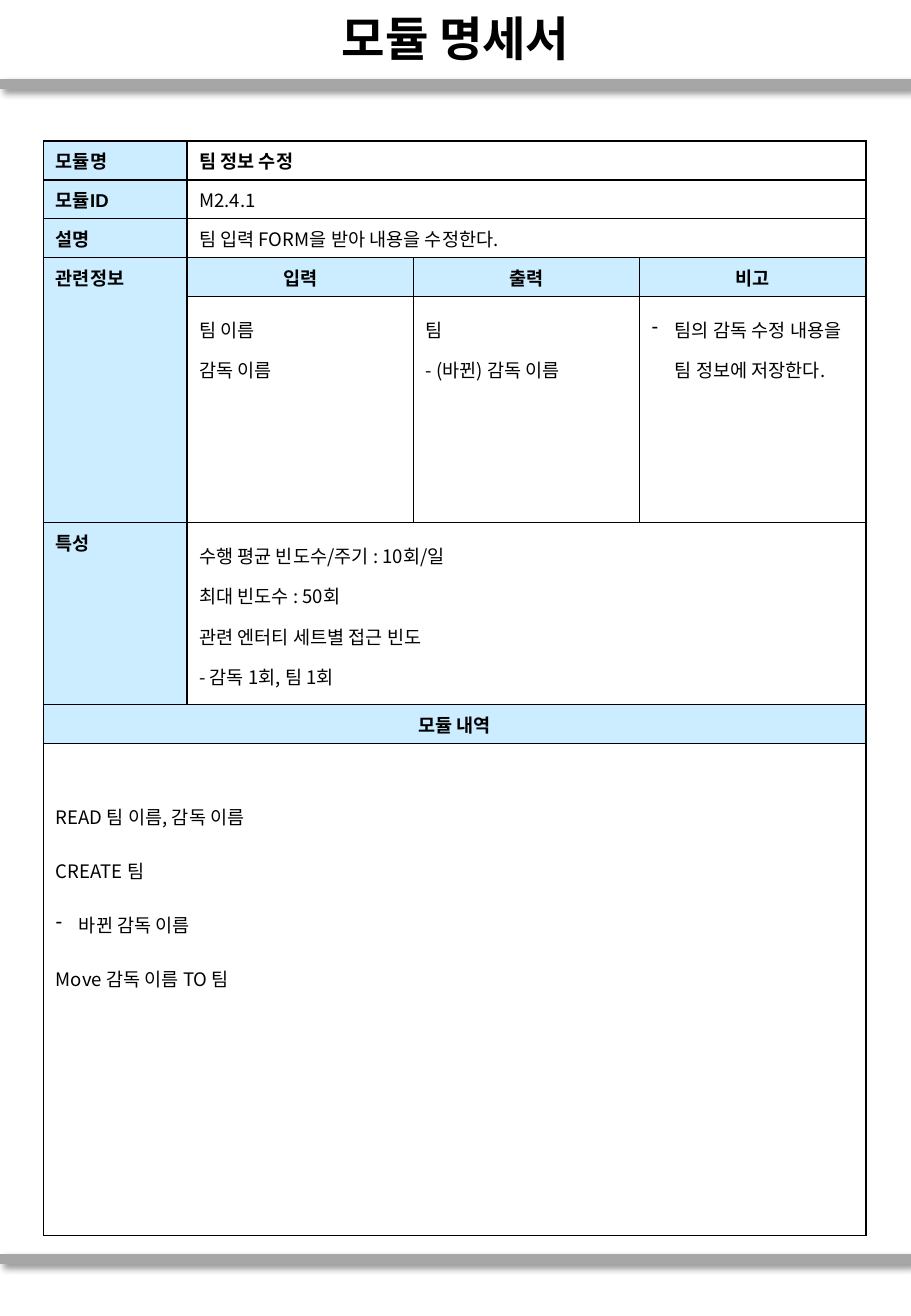
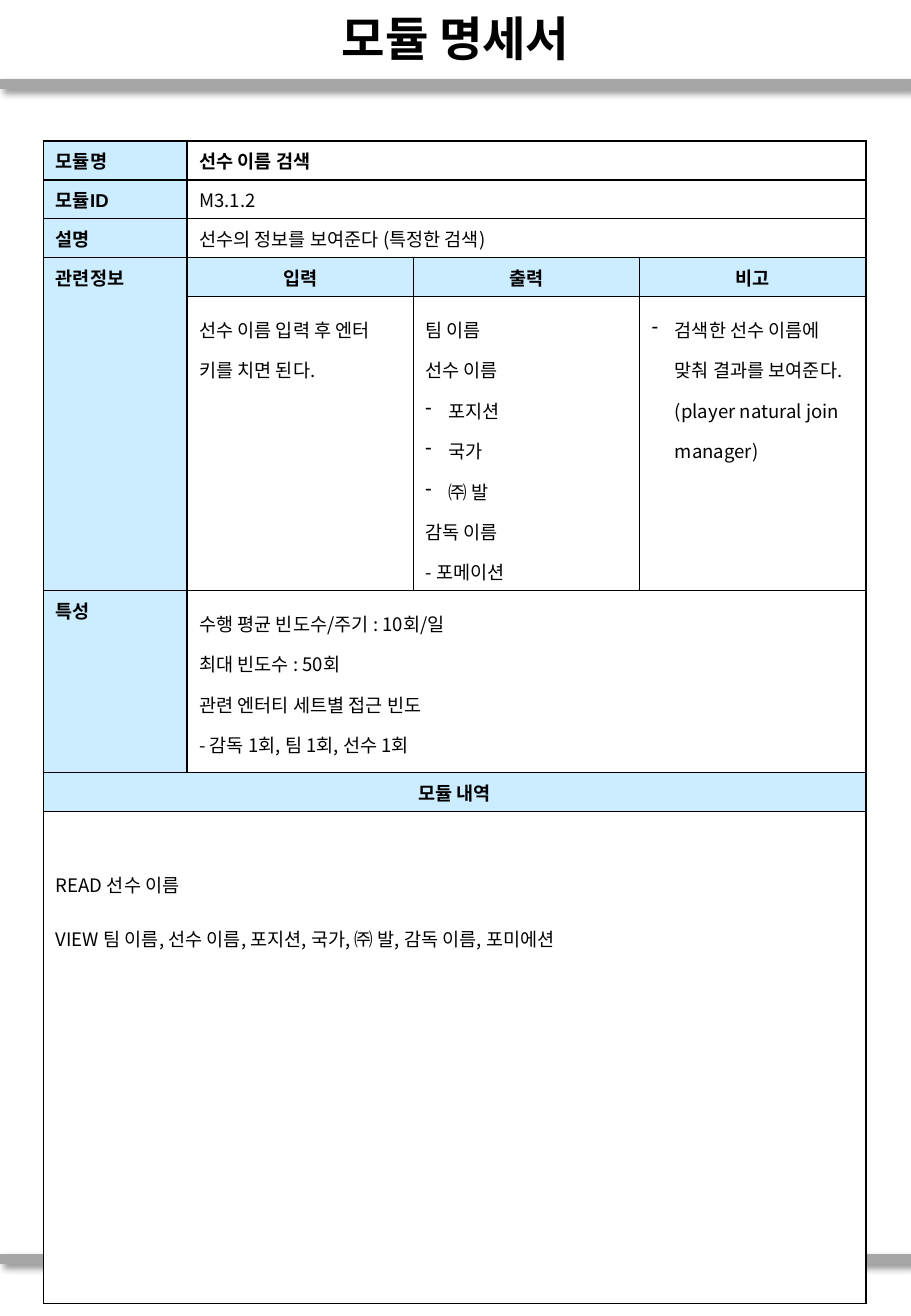
from dataclasses import dataclass

from lxml import etree
from pptx import Presentation
from pptx.dml.color import RGBColor
from pptx.enum.shapes import MSO_CONNECTOR
from pptx.enum.text import MSO_ANCHOR, PP_ALIGN
from pptx.oxml.ns import qn
from pptx.slide import Slide
from pptx.table import Table, _Cell
from pptx.text.text import _Paragraph
from pptx.util import Inches, Pt

STRAIGHT = MSO_CONNECTOR.STRAIGHT
MIDDLE = MSO_ANCHOR.MIDDLE
LEFT, CENTER = PP_ALIGN.LEFT, PP_ALIGN.CENTER

BLACK = RGBColor(0x00, 0x00, 0x00)
WHITE = RGBColor(0xFF, 0xFF, 0xFF)
HEADER_BLUE = RGBColor(0xCC, 0xEC, 0xFF)
BAND_GRAY = RGBColor(0xA6, 0xA6, 0xA6)

KOREAN_FONT = "Noto Sans CJK KR"
LABEL_FONT = "Arial"

SLIDE_WIDTH, SLIDE_HEIGHT = 7.5, 10.83
BAND_TOPS = (0.69, 10.36)
TABLE_LEFT, TABLE_TOP, TABLE_WIDTH = 0.36, 1.16, 6.77
LABEL_WIDTH = 1.18
DATA_WIDTH = (TABLE_WIDTH - LABEL_WIDTH) / 3
COLUMN_WIDTHS = (LABEL_WIDTH, DATA_WIDTH, DATA_WIDTH, DATA_WIDTH)
ROW_HEIGHT = 0.32
BULLET_INDENT = Inches(0.19)
DETAIL_MARGIN = Inches(0.27)


@dataclass(frozen=True)
class Line:
    text: str
    bullet: bool = False


@dataclass(frozen=True)
class Module:
    name: str
    identifier: str
    description: str
    inputs: list[Line]
    outputs: list[Line]
    remarks: list[Line]
    access: str
    details: list[Line]
    related_height: float


@dataclass(frozen=True)
class Label:
    row: int
    column: int
    text: str
    alignment: PP_ALIGN = LEFT


LABELS = (
    Label(0, 0, "모듈명"),
    Label(1, 0, "모듈ID"),
    Label(2, 0, "설명"),
    Label(3, 0, "관련정보"),
    Label(3, 1, "입력", CENTER),
    Label(3, 2, "출력", CENTER),
    Label(3, 3, "비고", CENTER),
    Label(5, 0, "특성"),
    Label(6, 0, "모듈 내역", CENTER),
)

MODULES = (
    Module(
        name="팀 정보 수정",
        identifier="M2.4.1",
        description="팀 입력 FORM을 받아 내용을 수정한다.",
        inputs=[Line("팀 이름"), Line("감독 이름")],
        outputs=[Line("팀"), Line("- (바뀐) 감독 이름")],
        remarks=[Line("팀의 감독 수정 내용을 팀 정보에 저장한다.", True)],
        access="- 감독 1회, 팀 1회",
        details=[
            Line("READ 팀 이름, 감독 이름"),
            Line("CREATE 팀"),
            Line("바뀐 감독 이름", True),
            Line("Move 감독 이름 TO 팀"),
        ],
        related_height=1.86,
    ),
    Module(
        name="선수 이름 검색",
        identifier="M3.1.2",
        description="선수의 정보를 보여준다 (특정한 검색)",
        inputs=[Line("선수 이름 입력 후 엔터 키를 치면 된다.")],
        outputs=[
            Line("팀 이름"),
            Line("선수 이름"),
            Line("포지션", True),
            Line("국가", True),
            Line("㈜ 발", True),
            Line("감독 이름"),
            Line("- 포메이션"),
        ],
        remarks=[
            Line("검색한 선수 이름에 맞춰 결과를 보여준다. (player natural join manager)", True)
        ],
        access="- 감독 1회, 팀 1회, 선수 1회",
        details=[
            Line("READ 선수 이름"),
            Line("VIEW 팀 이름, 선수 이름, 포지션, 국가, ㈜ 발, 감독 이름, 포미에션"),
        ],
        related_height=2.42,
    ),
)


def set_font(paragraph: _Paragraph, size: float, name: str, bold: bool) -> None:
    font = paragraph.font
    font.size = Pt(size)
    font.bold = bold
    font.name = name
    font.color.rgb = BLACK
    defaults = paragraph._p.pPr.find(qn("a:defRPr"))
    etree.SubElement(defaults, qn("a:ea"), typeface=KOREAN_FONT)


def add_bullet(paragraph: _Paragraph) -> None:
    properties = paragraph._p.get_or_add_pPr()
    properties.set("marL", str(BULLET_INDENT))
    properties.set("indent", str(-BULLET_INDENT))
    etree.SubElement(properties, qn("a:buChar"), char="-")


def write_lines(
    cell: _Cell,
    lines: list[Line],
    spacing: float = 1.0,
    font_name: str = KOREAN_FONT,
    bold: bool = False,
    alignment: PP_ALIGN = LEFT,
) -> None:
    frame = cell.text_frame
    for index, line in enumerate(lines):
        paragraph = frame.add_paragraph() if index else frame.paragraphs[0]
        paragraph.text = line.text
        paragraph.alignment = alignment
        paragraph.line_spacing = spacing
        if line.bullet:
            add_bullet(paragraph)
        set_font(paragraph, 11, font_name, bold)


def style_cell(cell: _Cell) -> None:
    properties = cell._tc.get_or_add_tcPr()
    for side in ("lnL", "lnR", "lnT", "lnB"):
        border = etree.SubElement(properties, qn(f"a:{side}"), w=str(Pt(1)))
        fill = etree.SubElement(border, qn("a:solidFill"))
        etree.SubElement(fill, qn("a:srgbClr"), val=str(BLACK))
    cell.fill.solid()
    cell.fill.fore_color.rgb = WHITE


def add_band(slide: Slide, top: float) -> None:
    band = slide.shapes.add_connector(
        STRAIGHT, Inches(0), Inches(top), Inches(SLIDE_WIDTH), Inches(top)
    )
    band.line.color.rgb = BAND_GRAY
    band.line.width = Pt(6)
    effects = etree.SubElement(band._element.spPr, qn("a:effectLst"))
    shadow = etree.SubElement(
        effects,
        qn("a:outerShdw"),
        blurRad=str(Pt(4)),
        dist=str(Pt(3)),
        dir=str(45 * 60000),
        algn="tl",
        rotWithShape="0",
    )
    color = etree.SubElement(shadow, qn("a:srgbClr"), val=str(BLACK))
    etree.SubElement(color, qn("a:alpha"), val="40000")


def add_title(slide: Slide) -> None:
    title = slide.shapes.add_textbox(
        Inches(0), Inches(0.01), Inches(SLIDE_WIDTH), Inches(0.6)
    )
    frame = title.text_frame
    frame.word_wrap = True
    frame.vertical_anchor = MIDDLE
    paragraph = frame.paragraphs[0]
    paragraph.text = "모듈 명세서"
    paragraph.alignment = CENTER
    set_font(paragraph, 28, KOREAN_FONT, True)


def add_grid(slide: Slide, related_height: float) -> Table:
    heights = [ROW_HEIGHT] * 4 + [related_height, 1.5, ROW_HEIGHT, 4.05]
    table = slide.shapes.add_table(
        len(heights),
        len(COLUMN_WIDTHS),
        Inches(TABLE_LEFT),
        Inches(TABLE_TOP),
        Inches(TABLE_WIDTH),
        Inches(sum(heights)),
    ).table
    table.first_row = False
    table.horz_banding = False
    for column, width in zip(table.columns, COLUMN_WIDTHS):
        column.width = Inches(width)
    for row, height in zip(table.rows, heights):
        row.height = Inches(height)
    for cell in table.iter_cells():
        style_cell(cell)
    for row in (0, 1, 2, 5):
        table.cell(row, 1).merge(table.cell(row, 3))
    for row in (6, 7):
        table.cell(row, 0).merge(table.cell(row, 3))
    table.cell(3, 0).merge(table.cell(4, 0))
    return table


def add_module_table(slide: Slide, module: Module) -> None:
    table = add_grid(slide, module.related_height)
    for label in LABELS:
        cell = table.cell(label.row, label.column)
        cell.fill.fore_color.rgb = HEADER_BLUE
        write_lines(
            cell,
            [Line(label.text)],
            font_name=LABEL_FONT,
            bold=True,
            alignment=label.alignment,
        )

    write_lines(table.cell(0, 1), [Line(module.name)], bold=True)
    write_lines(table.cell(1, 1), [Line(module.identifier)])
    write_lines(table.cell(2, 1), [Line(module.description)])

    related = (module.inputs, module.outputs, module.remarks)
    for column, lines in enumerate(related, start=1):
        write_lines(table.cell(4, column), lines, spacing=1.5)

    traits = [
        Line("수행 평균 빈도수/주기 : 10회/일"),
        Line("최대 빈도수 : 50회"),
        Line("관련 엔터티 세트별 접근 빈도"),
        Line(module.access),
    ]
    write_lines(table.cell(5, 1), traits, spacing=1.5)

    detail_cell = table.cell(7, 0)
    detail_cell.margin_top = DETAIL_MARGIN
    write_lines(detail_cell, module.details, spacing=2.0)


def main() -> None:
    presentation = Presentation()
    presentation.slide_width = Inches(SLIDE_WIDTH)
    presentation.slide_height = Inches(SLIDE_HEIGHT)
    blank_layout = presentation.slide_layouts[6]
    for module in MODULES:
        slide = presentation.slides.add_slide(blank_layout)
        for top in BAND_TOPS:
            add_band(slide, top)
        add_title(slide)
        add_module_table(slide, module)
    presentation.save("out.pptx")


if __name__ == "__main__":
    main()
